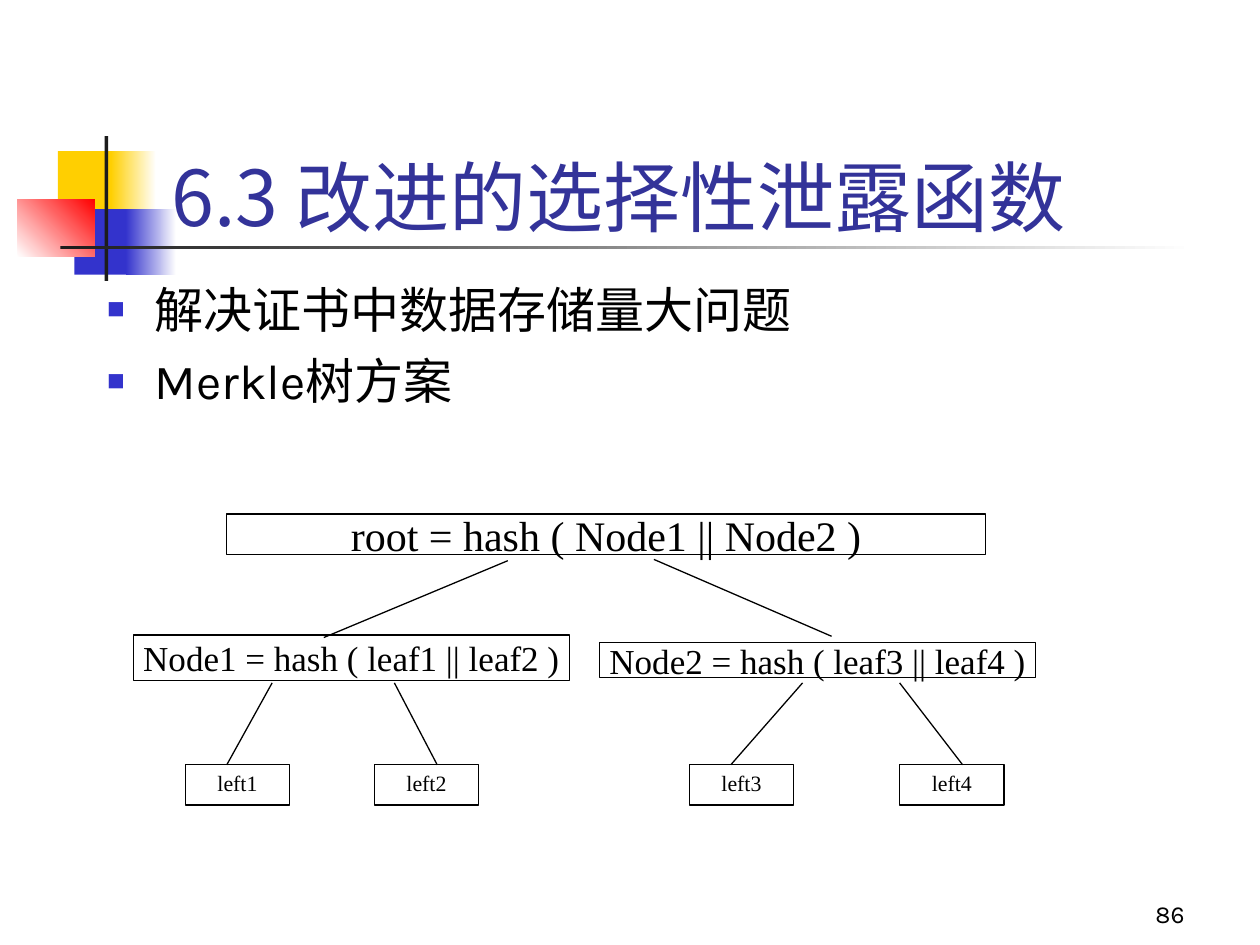
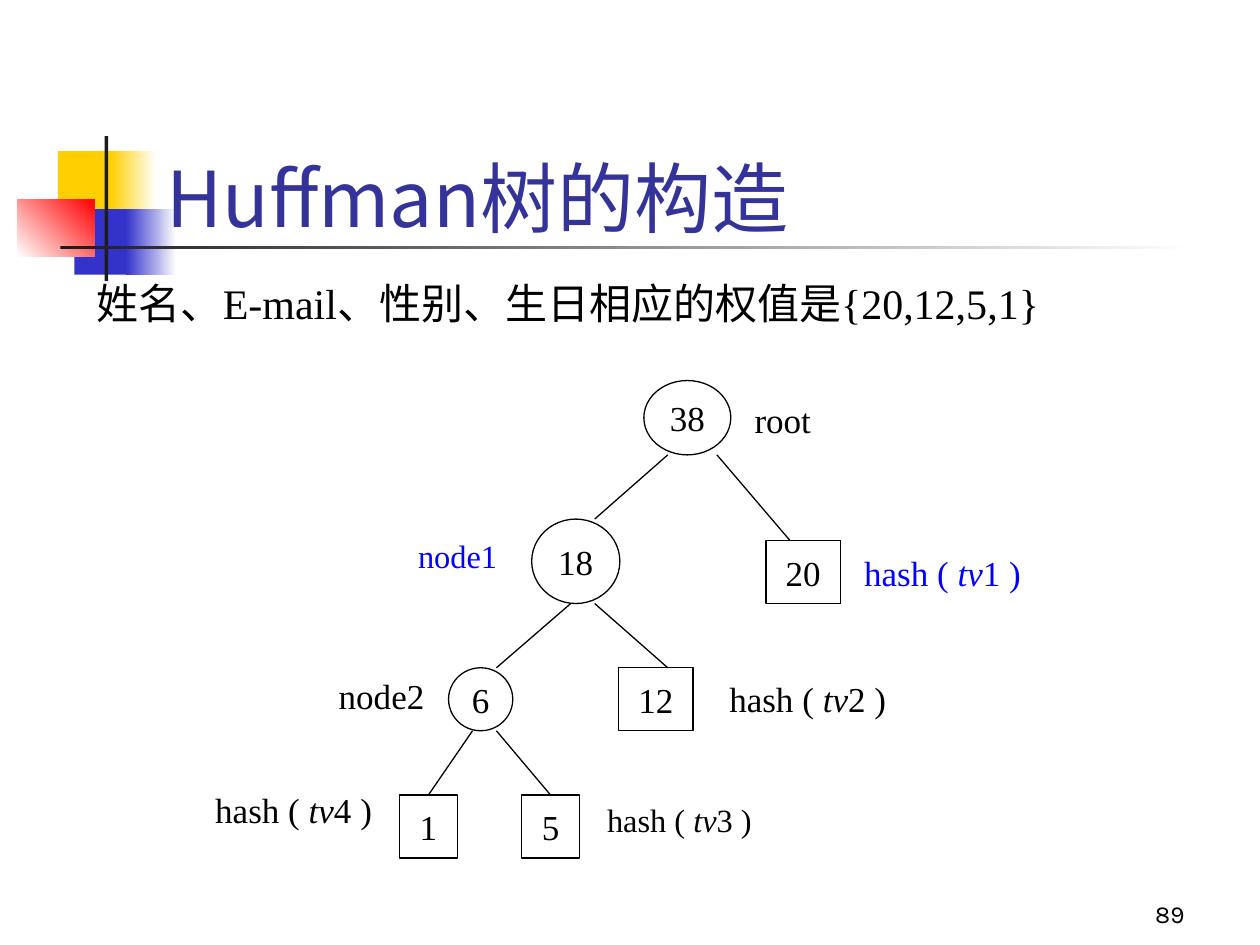
from dataclasses import dataclass
from lxml.etree import SubElement as Sub
from pptx import Presentation
from pptx.dml.color import RGBColor as RGB
from pptx.enum.shapes import MSO_CONNECTOR as Conn, MSO_SHAPE as Kind
from pptx.enum.text import MSO_ANCHOR as Anchor, MSO_AUTO_SIZE as Fit, PP_ALIGN as Align
from pptx.oxml.ns import qn
from pptx.util import Pt

SCALE = 9144


@dataclass(frozen=True)
class Theme:
    ink: str = "000000"
    paper: str = "FFFFFF"
    title: str = "333399"
    gold: str = "FFCF01"
    blue: str = "3333CC"
    red: str = "FF0000"
    dark: str = "1C1C1C"
    mark: str = "0000FF"
    sans: str = "Karla"
    serif: str = "Times New Roman"
    han: str = "Noto Sans CJK SC"
    head: float = 44
    body: float = 28
    large: float = 24
    node: float = 20
    tag: float = 18.5
    page: float = 14
    leaf: float = 12.5
    rule: float = 0.75


class Deck:
    def __init__(self, theme):
        self.theme = theme
        self.prs = Presentation()
        self.prs.slide_width = 1000 * SCALE
        self.prs.slide_height = 750 * SCALE
        self.slide = None

    def begin(self, layout, title, at, page):
        t = self.theme
        self.slide = self.prs.slides.add_slide(self.prs.slide_layouts[layout])
        head = self.slide.shapes.title
        self.place(head, at)
        frame = self.frame(head, Anchor.BOTTOM)
        frame.margin_bottom = 0
        self.words(frame.paragraphs[0], title, t.head, t.han, t.title)
        self.label((742, 692, 208, 50), str(page), t.page, t.sans,
                   anchor=Anchor.BOTTOM, align=Align.RIGHT)

    def place(self, shape, at):
        shape.left, shape.top, shape.width, shape.height = (n * SCALE for n in at)

    def frame(self, shape, anchor, wrap=True):
        frame = shape.text_frame
        frame.auto_size = Fit.NONE
        frame.word_wrap = wrap
        frame.vertical_anchor = anchor
        return frame

    def words(self, para, parts, size, face, color, align=Align.LEFT, lead=None):
        para.alignment = align
        if lead:
            para.line_spacing = lead
        for text, slant in [(parts, False)] if isinstance(parts, str) else parts:
            run = para.add_run()
            run.text = text
            font = run.font
            font.size = Pt(size)
            font.name = face
            font.italic = slant
            font.color.rgb = RGB.from_string(color)
            Sub(run._r.get_or_add_rPr(), qn("a:ea"), typeface=self.theme.han)

    def items(self, at, lines):
        t = self.theme
        body = self.slide.placeholders[1]
        self.place(body, at)
        frame = self.frame(body, Anchor.TOP)
        for i, line in enumerate(lines):
            para = frame.add_paragraph() if i else frame.paragraphs[0]
            props = para._p.get_or_add_pPr()
            props.set("marL", str(38 * SCALE))
            props.set("indent", str(-38 * SCALE))
            Sub(Sub(props, qn("a:buClr")), qn("a:srgbClr"), val=t.blue)
            Sub(props, qn("a:buSzPct"), val="60000")
            Sub(props, qn("a:buChar"), char="■")
            para.space_before = Pt(7 if i else 0)
            self.words(para, line, t.body, t.sans, t.ink, lead=Pt(34))

    def label(self, at, parts, size, face=None, color=None,
              anchor=Anchor.MIDDLE, align=Align.LEFT, lead=None):
        t = self.theme
        box = self.slide.shapes.add_textbox(*(n * SCALE for n in at))
        frame = self.frame(box, anchor)
        self.words(frame.paragraphs[0], parts, size, face or t.serif,
                   color or t.ink, align, lead)

    def shape(self, at, kind=Kind.RECTANGLE):
        shape = self.slide.shapes.add_shape(kind, *(n * SCALE for n in at))
        shape.shadow.inherit = False
        return shape

    def node(self, at, text, size, kind=Kind.RECTANGLE, lead=None):
        t = self.theme
        shape = self.shape(at, kind)
        shape.fill.solid()
        shape.fill.fore_color.rgb = RGB.from_string(t.paper)
        shape.line.color.rgb = RGB.from_string(t.ink)
        shape.line.width = Pt(t.rule)
        frame = self.frame(shape, Anchor.MIDDLE, False)
        self.words(frame.paragraphs[0], text, size, t.serif, t.ink, Align.CENTER, lead)
        return shape

    def link(self, ends, box=None):
        line = self.slide.shapes.add_connector(Conn.STRAIGHT, *(n * SCALE for n in ends))
        line.line.color.rgb = RGB.from_string(self.theme.ink)
        line.line.width = Pt(self.theme.rule)
        Sub(line.element.spPr, qn("a:effectLst"))
        if box is not None:
            line.end_connect(box, 0)

    def band(self, at, first, last=None, angle=0):
        shape = self.shape(at)
        shape.line.fill.background()
        if last:
            shape.fill.gradient()
            shape.fill.gradient_angle = angle
            for stop, color in zip(shape.fill.gradient_stops, (first, last)):
                stop.color.rgb = RGB.from_string(color)
        else:
            shape.fill.solid()
            shape.fill.fore_color.rgb = RGB.from_string(first)
        self.prs.slide_master.shapes.element.append(shape.element)

    def motif(self):
        t = self.theme
        self.band((46, 120, 48, 52), t.gold)
        self.band((88, 120, 36, 52), t.gold, t.paper)
        self.band((59, 166, 46, 52), t.blue)
        self.band((100, 166, 40, 52), t.blue, t.paper)
        self.band((14, 158, 61, 46), t.paper, t.red, 45)
        self.band((83, 108, 3, 115), t.dark)
        self.band((48, 195, 900, 3), t.dark, t.paper)


def merkle(deck):
    t = deck.theme
    deck.begin(1, "6.3 改进的选择性泄露函数", (126, 67, 852, 125), 86)
    deck.items((75, 216, 834, 450), ["解决证书中数据存储量大问题", "Merkle树方案"])
    deck.node((180, 408, 602, 32), "root = hash ( Node1 || Node2 )", t.large)
    deck.node((106, 504, 346, 36), "Node1 = hash ( leaf1 || leaf2 )", t.node)
    deck.node((476, 510, 346, 28), "Node2 = hash ( leaf3 || leaf4 )", t.node)
    for i, left in enumerate((147, 297, 547, 714), 1):
        deck.node((left, 607, 83, 32), f"left{i}", t.leaf, lead=0.8)
    deck.link((403, 445, 257, 506))
    deck.link((519, 444, 660, 505))
    for start, end in ((216, 180), (313, 347), (637, 580), (714, 764)):
        deck.link((start, 542, end, 607))


def huffman(deck):
    t = deck.theme
    deck.begin(5, "Huffman树的构造", (122, 68, 852, 125), 89)
    for at, text in (((511, 302, 69, 59), "38"), ((422, 412, 70, 67), "18"),
                     ((356, 530, 51, 50), "6")):
        deck.node(at, text, t.node, Kind.OVAL)
    one, five, *rest = [
        deck.node((left, top, wide, 50), text, t.node)
        for left, top, wide, text in ((317, 631, 46, "1"), (414, 631, 46, "5"),
                                      (491, 530, 59, "12"), (608, 429, 59, "20"))]
    deck.link((375, 580, 336, 631), one)
    deck.link((394, 580, 433, 631), five)
    for ends in ((453, 479, 394, 530), (472, 479, 530, 530),
                 (530, 361, 472, 412), (569, 361, 627, 429)):
        deck.link(ends)
    deck.label((589, 311, 73, 38), "root", t.node, anchor=Anchor.TOP)
    deck.label((322, 424, 97, 43), "node1", t.tag, color=t.mark,
               anchor=Anchor.TOP, lead=0.9)
    deck.label((259, 530, 97, 49), "node2", t.node, anchor=Anchor.TOP)
    for i, at, size, color, lead in (
            (1, (676, 429, 155, 50), t.node, t.mark, None),
            (2, (569, 530, 150, 49), t.node, t.ink, None),
            (3, (472, 631, 183, 43), t.tag, t.ink, 0.9),
            (4, (161, 614, 150, 57), t.node, t.ink, None)):
        parts = [("hash ( ", False), ("tv", True), (f"{i} )", False)]
        deck.label(at, parts, size, color=color, lead=lead)
    deck.label((67, 212, 835, 50), "姓名、E-mail、性别、生日相应的权值是{20,12,5,1}",
               t.large, anchor=Anchor.TOP, lead=Pt(31))


def main():
    deck = Deck(Theme())
    merkle(deck)
    huffman(deck)
    deck.motif()
    deck.prs.save("out.pptx")


if __name__ == "__main__":
    main()
